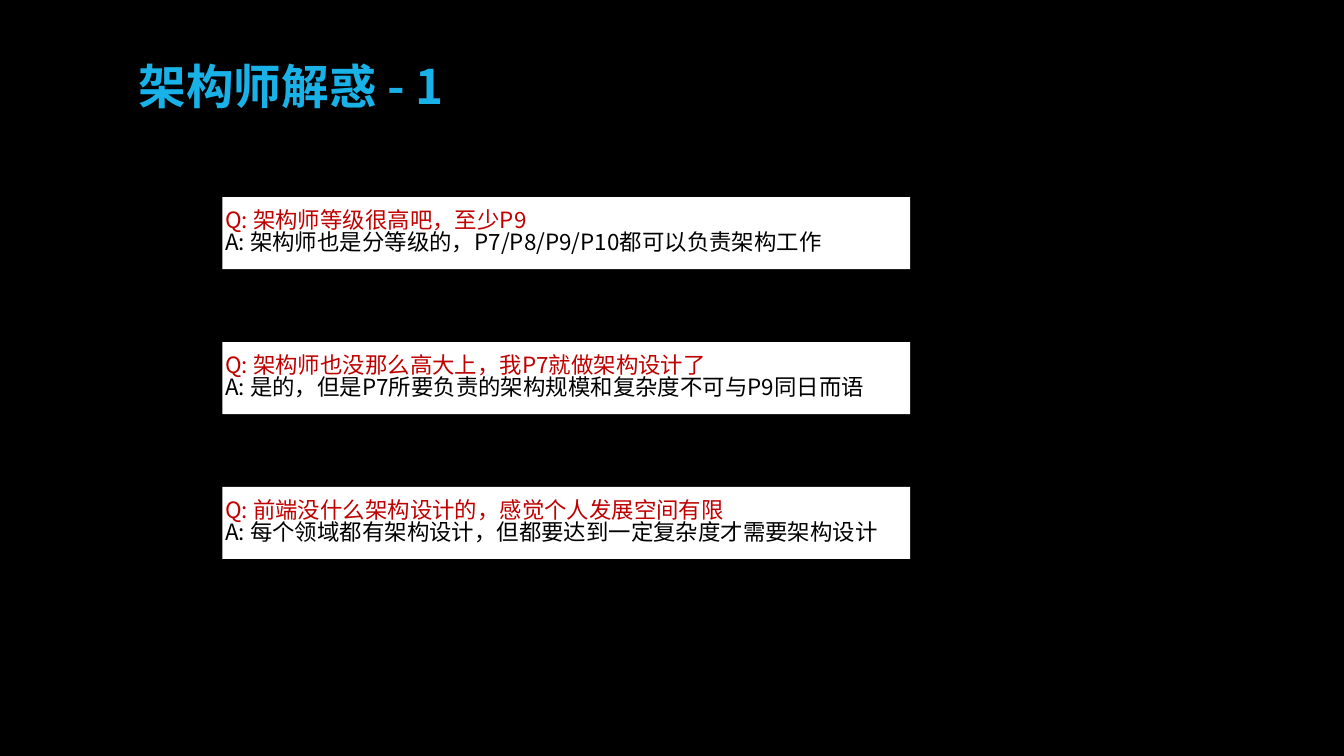
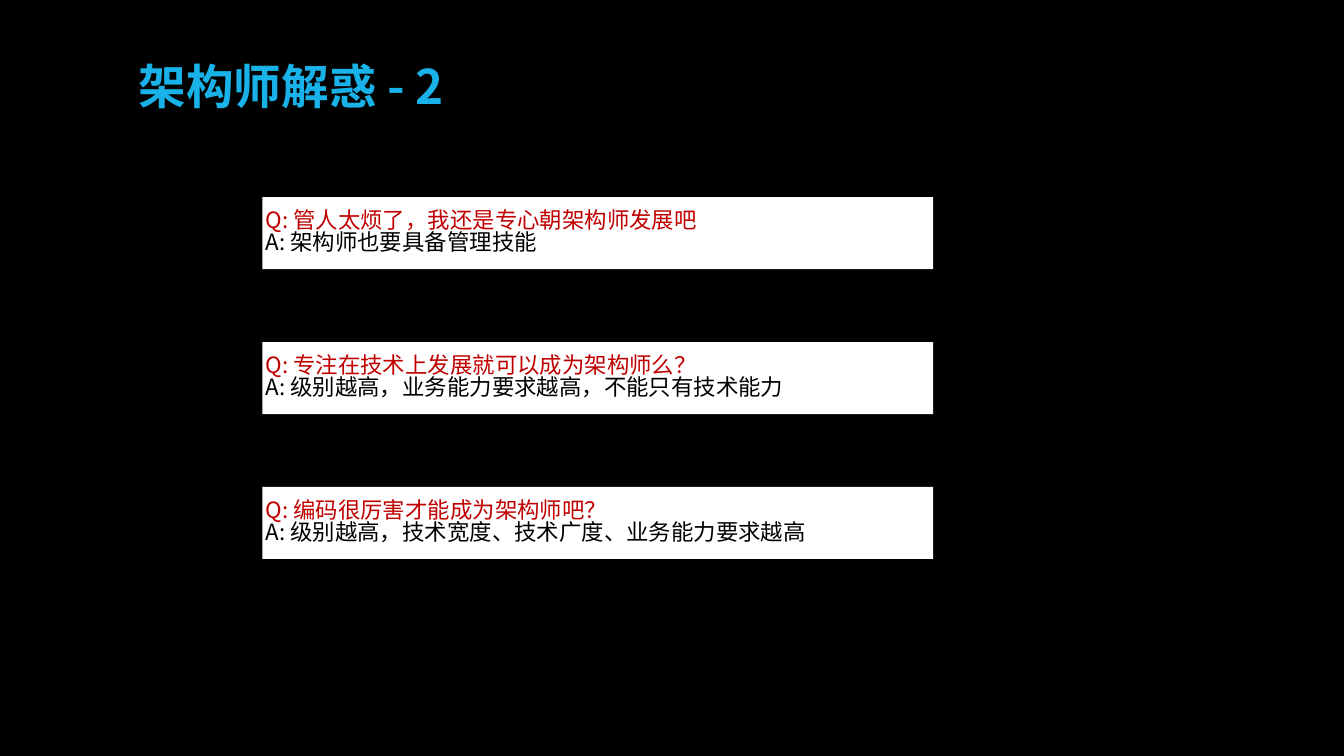
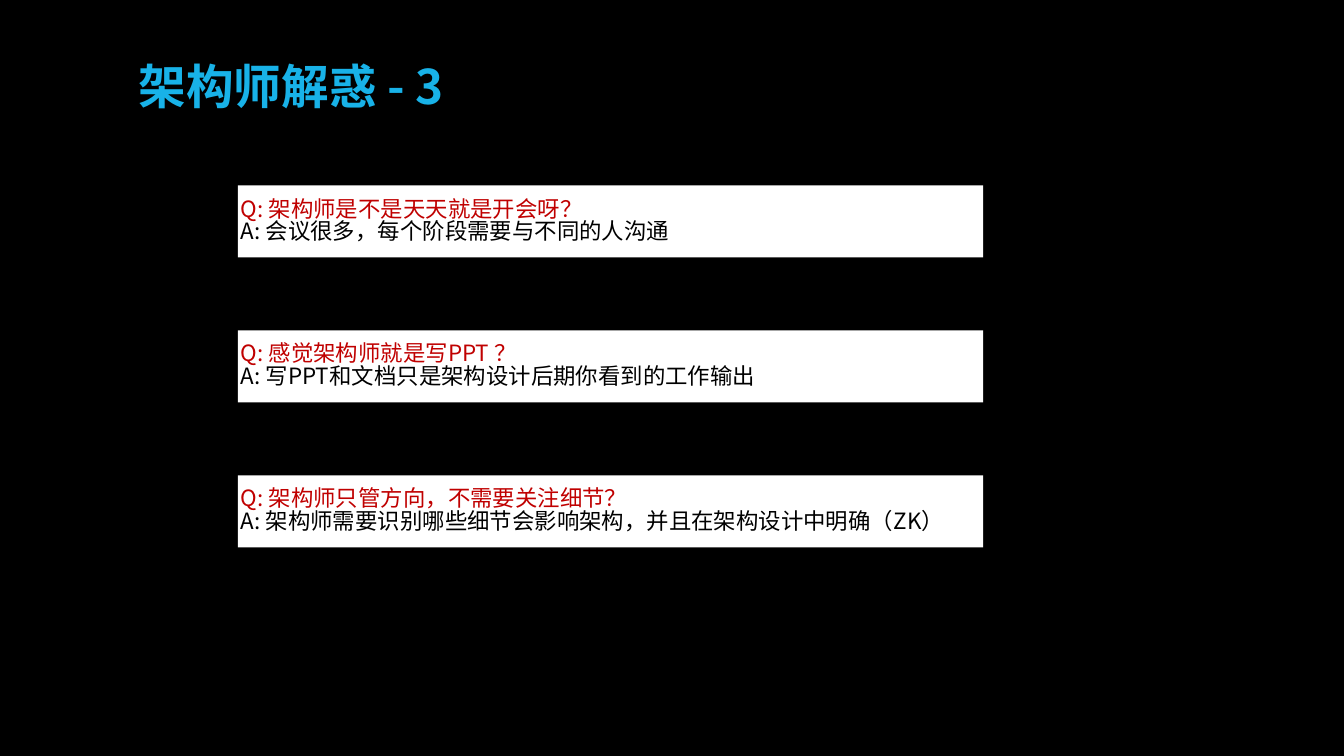
"""Build three question-and-answer slides about the work of an architect."""
from dataclasses import dataclass

from lxml.etree import SubElement
from pptx import Presentation
from pptx.dml.color import RGBColor as RGB
from pptx.enum.shapes import MSO_SHAPE as SHAPE
from pptx.enum.text import MSO_ANCHOR as ANCHOR, MSO_AUTO_SIZE as FIT, PP_ALIGN as ALIGN
from pptx.oxml.ns import qn
from pptx.util import Inches, Pt


@dataclass(frozen=True)
class Theme:
    font: str = "Noto Sans CJK SC"
    back: RGB = RGB(0x00, 0x00, 0x00)
    card: RGB = RGB(0xFF, 0xFF, 0xFF)
    title: RGB = RGB(0x18, 0xB2, 0xE8)
    question: RGB = RGB(0xC0, 0x00, 0x00)
    answer: RGB = RGB(0x00, 0x00, 0x00)
    title_size: Pt = Pt(68)
    text_size: Pt = Pt(32)
    inset: Inches = Inches(0.06)
    spacing: float = 0.83


TITLE_LEFT, TITLE_TOP = 10.09, 7.13
BOX_HEIGHT = 9.53
CARD_PITCH = 19.17

SLIDES = [
    dict(title="架构师解惑 - 1", title_width=60.29, left=16.54, top=26.07, width=51.18, cards=[
        ("架构师等级很高吧，至少P9", "架构师也是分等级的，P7/P8/P9/P10都可以负责架构工作"),
        ("架构师也没那么高大上，我P7就做架构设计了", "是的，但是P7所要负责的架构规模和复杂度不可与P9同日而语"),
        ("前端没什么架构设计的，感觉个人发展空间有限", "每个领域都有架构设计，但都要达到一定复杂度才需要架构设计"),
    ]),
    dict(title="架构师解惑 - 2", title_width=79.79, left=19.53, top=26.07, width=49.91, cards=[
        ("管人太烦了，我还是专心朝架构师发展吧", "架构师也要具备管理技能"),
        ("专注在技术上发展就可以成为架构师么？", "级别越高，业务能力要求越高，不能只有技术能力"),
        ("编码很厉害才能成为架构师吧？", "级别越高，技术宽度、技术广度、业务能力要求越高"),
    ]),
    dict(title="架构师解惑 - 3", title_width=79.79, left=17.7, top=24.53, width=55.46, cards=[
        ("架构师是不是天天就是开会呀？", "会议很多，每个阶段需要与不同的人沟通"),
        ("感觉架构师就是写PPT ？", "写PPT和文档只是架构设计后期你看到的工作输出"),
        ("架构师只管方向，不需要关注细节？", "架构师需要识别哪些细节会影响架构，并且在架构设计中明确（ZK）"),
    ]),
]


class Deck:
    def __init__(self, theme):
        self.theme = theme
        self.prs = Presentation()
        self.prs.slide_width, self.prs.slide_height = Inches(26.67), Inches(15)
        fill = self.prs.slide_master.background.fill
        fill.solid()
        fill.fore_color.rgb = theme.back
        self.slide = None

    def box(self, left, top, width, height):
        w, h = self.prs.slide_width, self.prs.slide_height
        return [round(share * size / 100) for share, size in zip((left, top, width, height), (w, h, w, h))]

    def add_lines(self, sp, lines, size, bold=False):
        t, tf = self.theme, sp.text_frame
        frame = dict(word_wrap=True, auto_size=FIT.NONE, vertical_anchor=ANCHOR.MIDDLE,
                     margin_left=t.inset, margin_top=t.inset, margin_right=t.inset, margin_bottom=t.inset)
        for name, value in frame.items():
            setattr(tf, name, value)
        for i, (text, color) in enumerate(lines):
            p = tf.add_paragraph() if i else tf.paragraphs[0]
            p.alignment, p.line_spacing = ALIGN.LEFT, t.spacing
            r = p.add_run()
            r.text = text
            for name, value in dict(size=size, bold=bold, name=t.font).items():
                setattr(r.font, name, value)
            r.font.color.rgb = color
            SubElement(r._r.get_or_add_rPr(), qn("a:ea"), typeface=t.font)

    def add_slide(self, title, width):
        layout = self.prs.slide_layouts.get_by_name("Title Only")
        self.slide = self.prs.slides.add_slide(layout)
        sp = self.slide.shapes.title
        sp.left, sp.top, sp.width, sp.height = self.box(TITLE_LEFT, TITLE_TOP, width, BOX_HEIGHT)
        self.add_lines(sp, [(title, self.theme.title)], self.theme.title_size, bold=True)

    def add_card(self, left, top, width, question, answer):
        t = self.theme
        sp = self.slide.shapes.add_shape(SHAPE.RECTANGLE, *self.box(left, top, width, BOX_HEIGHT))
        sp.shadow.inherit = False
        sp.fill.solid()
        sp.fill.fore_color.rgb = t.card
        sp.line.fill.background()
        self.add_lines(sp, [(f"Q: {question}", t.question), (f"A: {answer}", t.answer)], t.text_size)


def main():
    deck = Deck(Theme())
    for s in SLIDES:
        deck.add_slide(s["title"], s["title_width"])
        for i, (question, answer) in enumerate(s["cards"]):
            deck.add_card(s["left"], s["top"] + i * CARD_PITCH, s["width"], question, answer)
    deck.prs.save("out.pptx")


if __name__ == "__main__":
    main()
